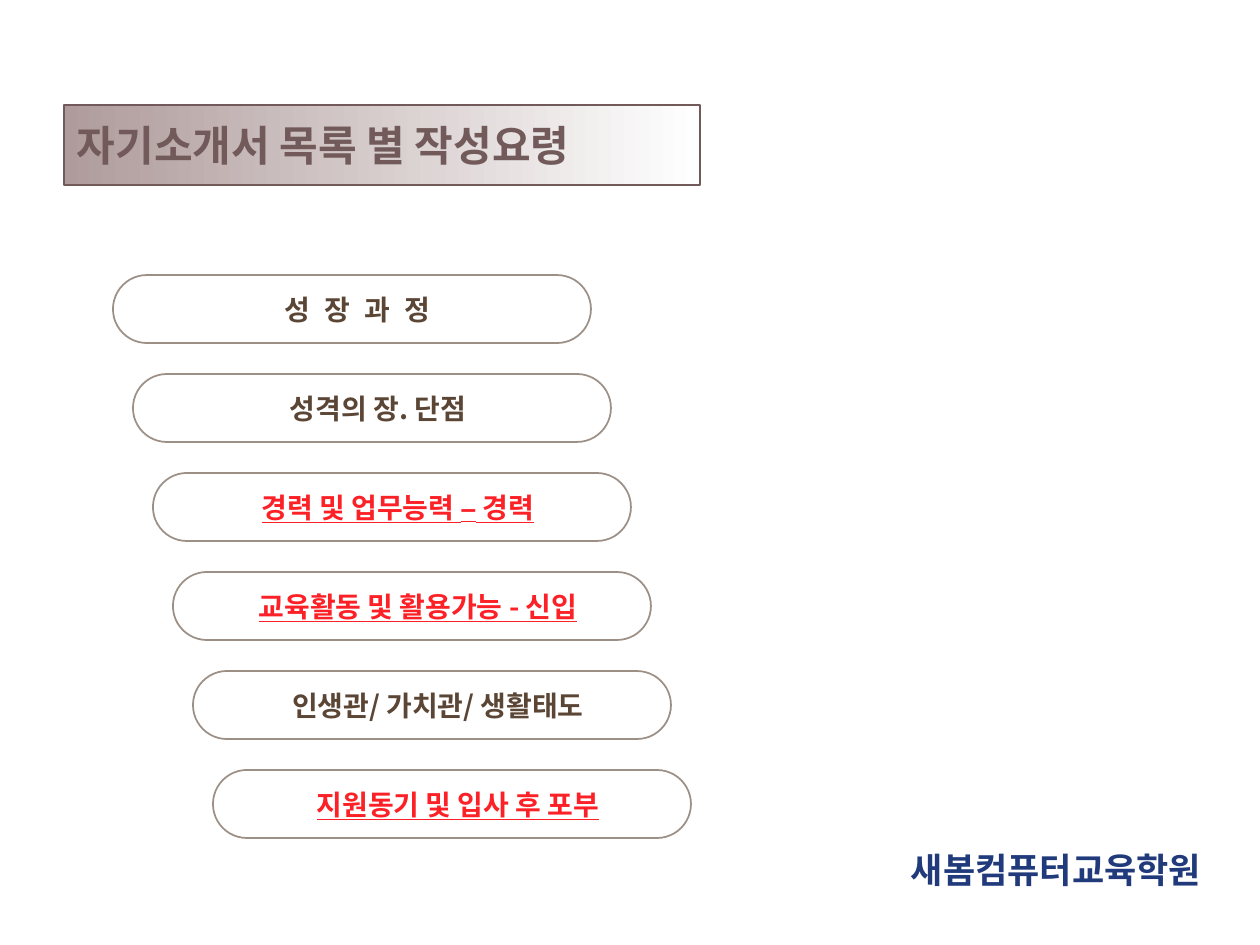
from dataclasses import dataclass

from lxml.etree import SubElement
from pptx import Presentation
from pptx.dml.color import RGBColor
from pptx.enum.shapes import MSO_SHAPE as Shape
from pptx.enum.text import MSO_ANCHOR as Anchor, MSO_AUTO_SIZE as AutoSize, PP_ALIGN as Align
from pptx.oxml.ns import qn
from pptx.util import Emu, Pt

PX = 914400 / 126
FONT = "Noto Sans CJK KR"
COLORS = {
    "title": "725A5A",
    "title_fade": "AF9B9B",
    "brown": "5B4636",
    "red": "FB2126",
    "navy": "203A7B",
    "white": "FFFFFF",
}

PILL_LEFT, PILL_TOP = 113, 275
PILL_WIDTH, PILL_HEIGHT = 478, 68
STEP_X, STEP_Y = 20, 99


@dataclass
class Topic:
    text: str
    stressed: bool = False
    spacing: float = 0


TOPICS = [
    Topic("성 장 과 정", spacing=2.3),
    Topic("성격의 장. 단점"),
    Topic("경력 및 업무능력 – 경력", stressed=True),
    Topic("교육활동 및 활용가능 - 신입", stressed=True),
    Topic("인생관/ 가치관/ 생활태도"),
    Topic("지원동기 및 입사 후 포부", stressed=True),
]


def px(length: int) -> Emu:
    return Emu(round(length * PX))


def rgb(name: str) -> RGBColor:
    return RGBColor.from_string(COLORS[name])


def place(shape, left: int, top: int, width: int, height: int) -> None:
    shape.left, shape.top = px(left), px(top)
    shape.width, shape.height = px(width), px(height)


def set_text(shape, text: str, size: int, color: str, align: Align,
             margins: tuple[int, int, int, int] = (13, 6, 13, 6)) -> list:
    """Fill the shape with one bold line and return its runs; an en dash is set in Arial."""
    frame = shape.text_frame
    frame.word_wrap = True
    frame.auto_size = AutoSize.NONE
    frame.vertical_anchor = Anchor.MIDDLE
    (frame.margin_left, frame.margin_top,
     frame.margin_right, frame.margin_bottom) = map(px, margins)
    para = frame.paragraphs[0]
    para.alignment = align
    before, dash, after = text.partition("–")
    for part in filter(None, (before, dash, after)):
        span = para.add_run()
        span.text = part
        font = span.font
        font.size, font.bold = Pt(size), True
        font.color.rgb = rgb(color)
        font.name = "Arial" if part == "–" else FONT
        SubElement(span._r.get_or_add_rPr(), qn("a:ea"), typeface=font.name)
    return list(para.runs)


def draw_title(page) -> None:
    title = page.shapes.title
    place(title, 64, 105, 636, 80)
    title.fill.gradient()
    title.fill.gradient_angle = 0
    for stop, color in zip(title.fill.gradient_stops, ("title_fade", "white")):
        stop.color.rgb = rgb(color)
    title.line.color.rgb = rgb("title")
    title.line.width = Pt(1)
    set_text(title, "자기소개서 목록 별 작성요령", 24, "title", Align.LEFT)


def draw_topic(page, index: int, topic: Topic) -> None:
    pill = page.shapes.add_shape(Shape.ROUNDED_RECTANGLE, 0, 0, 0, 0)
    place(pill, PILL_LEFT + index * STEP_X, PILL_TOP + index * STEP_Y,
          PILL_WIDTH, PILL_HEIGHT)
    pill.adjustments[0] = 0.5
    pill.shadow.inherit = False
    pill.fill.solid()
    pill.fill.fore_color.rgb = rgb("white")
    pill.line.color.rgb = rgb("brown")
    pill.line.width = Pt(1)
    line_color = pill.line._ln.find(f".//{qn('a:srgbClr')}")
    SubElement(line_color, qn("a:alpha"), val="60000")
    color = "red" if topic.stressed else "brown"
    for span in set_text(pill, topic.text, 16, color, Align.CENTER, (25, 6, 13, 6)):
        span.font.underline = topic.stressed
        if topic.spacing:
            span._r.get_or_add_rPr().set("spc", str(round(topic.spacing * 100)))


def draw_footer(page) -> None:
    box = page.shapes.add_textbox(0, 0, 0, 0)
    place(box, 898, 842, 315, 54)
    set_text(box, "새봄컴퓨터교육학원", 20, "navy", Align.LEFT, (13, 0, 0, 0))


def main() -> None:
    deck = Presentation()
    deck.slide_width, deck.slide_height = px(1260), px(945)
    page = deck.slides.add_slide(deck.slide_layouts[5])
    draw_footer(page)
    draw_title(page)
    for index, topic in enumerate(TOPICS):
        draw_topic(page, index, topic)
    deck.save("out.pptx")


if __name__ == "__main__":
    main()
